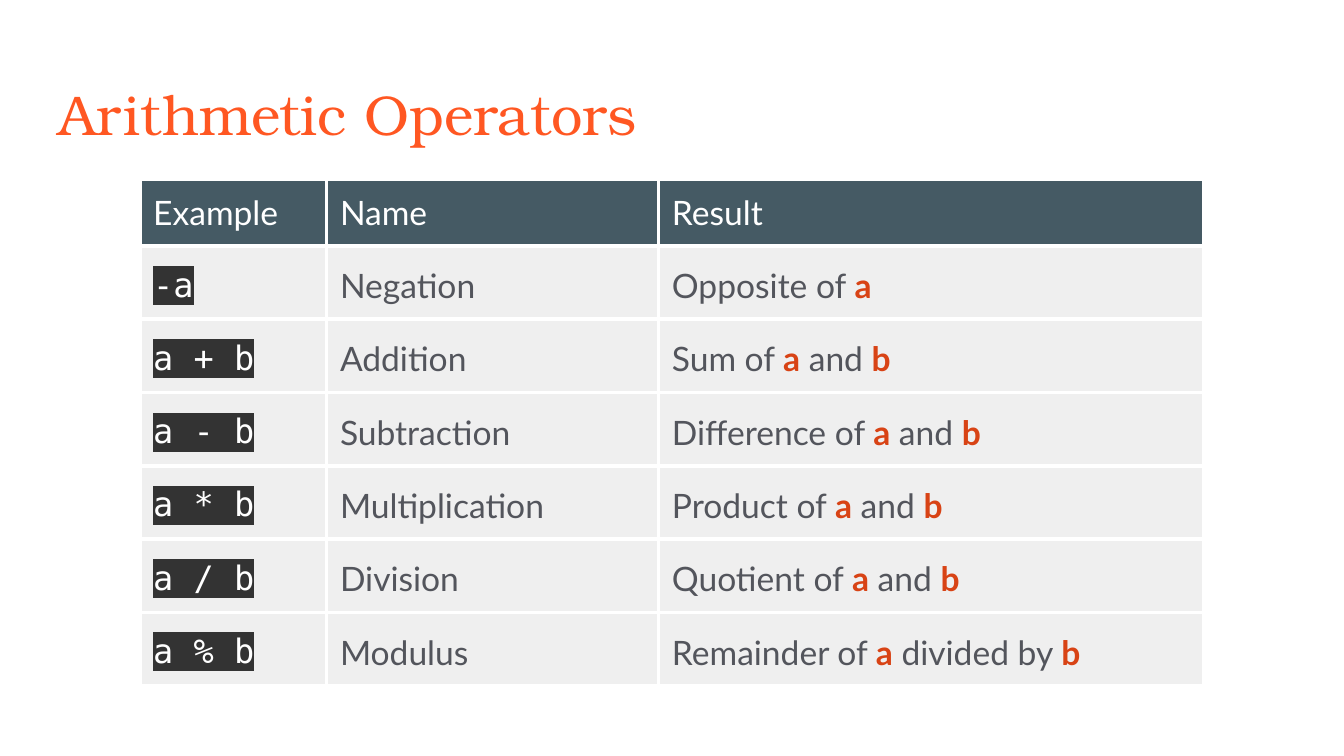
"""Build the Arithmetic Operators slide with its table of examples."""
from lxml.etree import SubElement
from pptx import Presentation
from pptx.dml.color import RGBColor
from pptx.enum.text import MSO_ANCHOR
from pptx.oxml import parse_xml
from pptx.oxml.ns import nsdecls, qn
from pptx.util import Inches, Pt


def color(hex_value):
    return RGBColor.from_string(hex_value)


def write(paragraph, text, font="Lato", size=18, ink="53555C", bold=False, highlight=None):
    run = paragraph.add_run()
    run.text = text
    run.font.name = font
    run.font.size = Pt(size)
    run.font.bold = bold
    run.font.color.rgb = color(ink)
    if highlight:
        mark = parse_xml(f'<a:highlight {nsdecls("a")}/>')
        SubElement(mark, qn("a:srgbClr"), val=highlight)
        run.font._element.find(qn("a:solidFill")).addnext(mark)


HEADINGS = ["Example", "Name", "Result"]
OPERATORS = [
    ("-a", "Negation", ["Opposite of ", "a"]),
    ("a + b", "Addition", ["Sum of ", "a", " and ", "b"]),
    ("a - b", "Subtraction", ["Difference of ", "a", " and ", "b"]),
    ("a * b", "Multiplication", ["Product of ", "a", " and ", "b"]),
    ("a / b", "Division", ["Quotient of ", "a", " and ", "b"]),
    ("a % b", "Modulus", ["Remainder of ", "a", " divided by ", "b"]),
]
COLUMN_WIDTHS = [1.39, 2.47, 4.06]
ROW_HEIGHT = 0.42

presentation = Presentation()
presentation.slide_width = Inches(10)
presentation.slide_height = Inches(10) * 9 // 16
slide = presentation.slides.add_slide(presentation.slide_layouts[6])

title = slide.shapes.add_textbox(Inches(0.34), Inches(0.49), Inches(9.32), Inches(0.63)).text_frame
title.word_wrap = True
title.margin_left = title.margin_right = title.margin_top = title.margin_bottom = Inches(0.1)
write(title.paragraphs[0], "Arithmetic Operators", font="TeX Gyre Bonum", size=30, ink="FF5722")

row_count = len(OPERATORS) + 1
operators = slide.shapes.add_table(
    row_count, len(HEADINGS), Inches(1.04), Inches(1.33),
    Inches(sum(COLUMN_WIDTHS)), Inches(ROW_HEIGHT * row_count)).table
for column, width in zip(operators.columns, COLUMN_WIDTHS):
    column.width = Inches(width)
for row in operators.rows:
    row.height = Inches(ROW_HEIGHT)

for row_index, row_content in enumerate([HEADINGS, *OPERATORS]):
    is_heading = row_index == 0
    for column_index, content in enumerate(row_content):
        cell = operators.cell(row_index, column_index)
        cell.margin_left = cell.margin_top = cell.margin_bottom = Inches(0.1)
        cell.margin_right = Inches(0.1 if is_heading else 0.09)
        cell.vertical_anchor = MSO_ANCHOR.TOP if is_heading else MSO_ANCHOR.MIDDLE
        cell.fill.solid()
        cell.fill.fore_color.rgb = color("455A64" if is_heading else "EFEFEF")
        for position, side in enumerate(["lnL", "lnR", "lnT", "lnB"]):
            border = parse_xml(
                f'<a:{side} {nsdecls("a")} w="{Pt(2.25)}"><a:solidFill>'
                f'<a:srgbClr val="FFFFFF"/></a:solidFill></a:{side}>')
            cell._tc.get_or_add_tcPr().insert(position, border)

        paragraph = cell.text_frame.paragraphs[0]
        if is_heading:
            write(paragraph, content, ink="FFFFFF")
            continue
        paragraph.line_spacing = 1.15
        if column_index == 0:
            write(paragraph, content, font="DejaVu Sans Mono", ink="FFFFFF", highlight="333333")
        elif column_index == 1:
            write(paragraph, content)
        else:
            for part_index, part in enumerate(content):
                is_variable = part_index % 2 == 1
                write(paragraph, part, ink="D84315" if is_variable else "53555C", bold=is_variable)

presentation.save("out.pptx")
